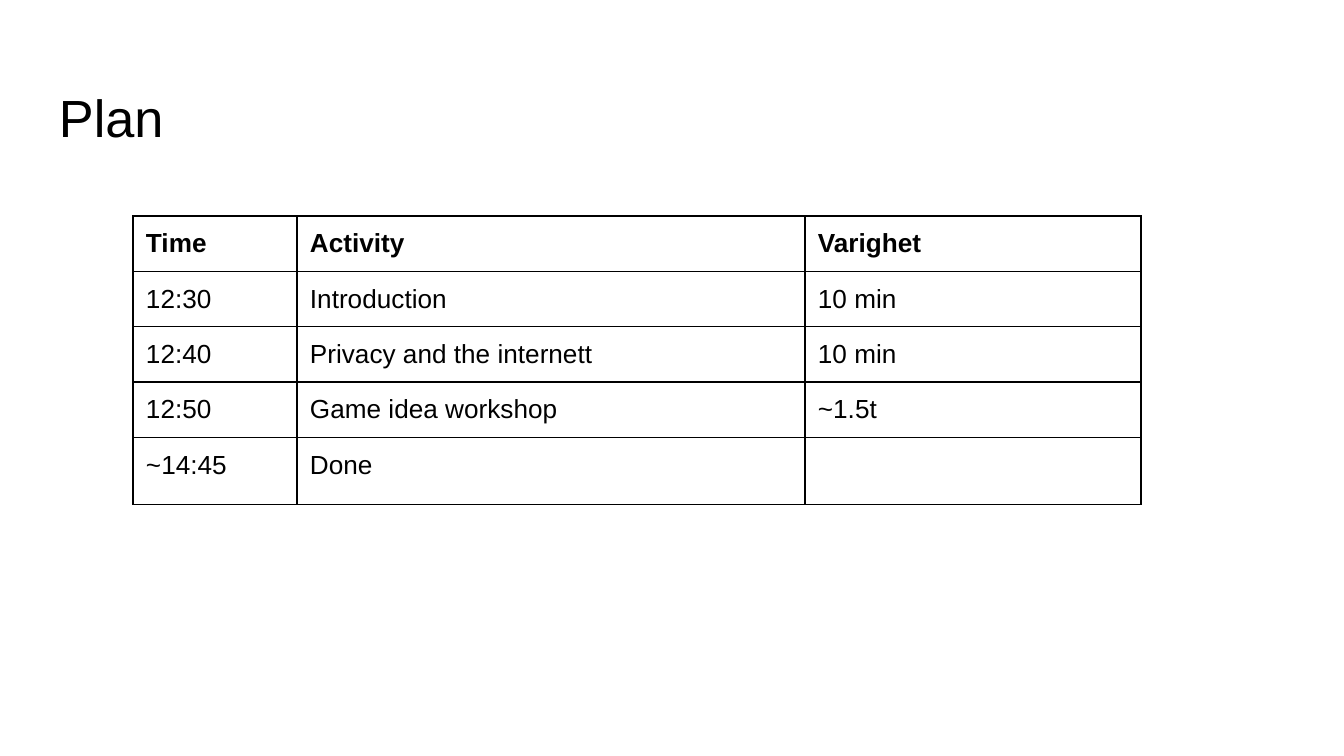
import lxml.etree
import pptx
import pptx.dml.color
import pptx.enum.text
import pptx.oxml.ns
import pptx.util

PX = 914400 / 134.4
COLORS = {"ink": "000000", "paper": "FFFFFF"}
FONT = "Arial"
INSET = 13
BORDER_PT = 0.75

COLUMN_WIDTHS = [164, 508, 336]
ROW_HEIGHT = 51
SCHEDULE = [
    ["Time", "Activity", "Varighet"],
    ["12:30", "Introduction", "10 min"],
    ["12:40", "Privacy and the internett", "10 min"],
    ["12:50", "Game idea workshop", "~1.5t"],
    ["~14:45", "Done", ""],
]


def px(length):
    return pptx.util.Emu(round(length * PX))


def rgb(name):
    return pptx.dml.color.RGBColor.from_string(COLORS[name])


def set_all(target, values):
    for name, value in values.items():
        setattr(target, name, value)


def format_font(font, size, bold=False):
    set_all(font, {"name": FONT, "size": pptx.util.Pt(size), "bold": bold})
    font.color.rgb = rgb("ink")


def margins(top=INSET):
    return {
        "margin_left": px(INSET),
        "margin_right": px(INSET),
        "margin_top": px(top),
        "margin_bottom": px(INSET),
    }


def add_borders(cell):
    properties = cell._tc.get_or_add_tcPr()
    qn = pptx.oxml.ns.qn
    for side in ("a:lnL", "a:lnR", "a:lnT", "a:lnB"):
        line = lxml.etree.SubElement(
            properties, qn(side), w=str(pptx.util.Pt(BORDER_PT)))
        fill = lxml.etree.SubElement(line, qn("a:solidFill"))
        lxml.etree.SubElement(fill, qn("a:srgbClr"), val=COLORS["ink"])


def place_title(slide, text, left, top, width, height):
    title = slide.shapes.title
    set_all(title, {"left": px(left), "top": px(top),
                    "width": px(width), "height": px(height)})
    frame = title.text_frame
    frame.text = text
    set_all(frame, {
        **margins(top=19),
        "word_wrap": True,
        "auto_size": pptx.enum.text.MSO_AUTO_SIZE.NONE,
        "vertical_anchor": pptx.enum.text.MSO_ANCHOR.TOP,
    })
    heading = frame.paragraphs[0]
    heading.alignment = pptx.enum.text.PP_ALIGN.LEFT
    format_font(heading.runs[0].font, 28)


def place_schedule(slide, left, top):
    schedule = slide.shapes.add_table(
        len(SCHEDULE), len(COLUMN_WIDTHS), px(left), px(top),
        px(sum(COLUMN_WIDTHS)), px(ROW_HEIGHT * len(SCHEDULE))).table
    set_all(schedule, {"first_row": False, "horz_banding": False})
    for column, width in zip(schedule.columns, COLUMN_WIDTHS):
        column.width = px(width)
    for row_index, (row, entries) in enumerate(zip(schedule.rows, SCHEDULE)):
        row.height = px(ROW_HEIGHT)
        for cell, entry in zip(row.cells, entries):
            set_all(cell, margins())
            add_borders(cell)
            cell.fill.background()
            if entry:
                cell.text = entry
                run = cell.text_frame.paragraphs[0].runs[0]
                format_font(run.font, 14, bold=row_index == 0)


def main():
    deck = pptx.Presentation()
    set_all(deck, {"slide_width": px(1344), "slide_height": px(756)})
    slide = deck.slides.add_slide(deck.slide_layouts[5])
    slide.background.fill.solid()
    slide.background.fill.fore_color.rgb = rgb("paper")
    place_title(slide, "Plan", 46, 66, 1252, 84)
    place_schedule(slide, 133, 216)
    deck.save("out.pptx")


if __name__ == "__main__":
    main()
